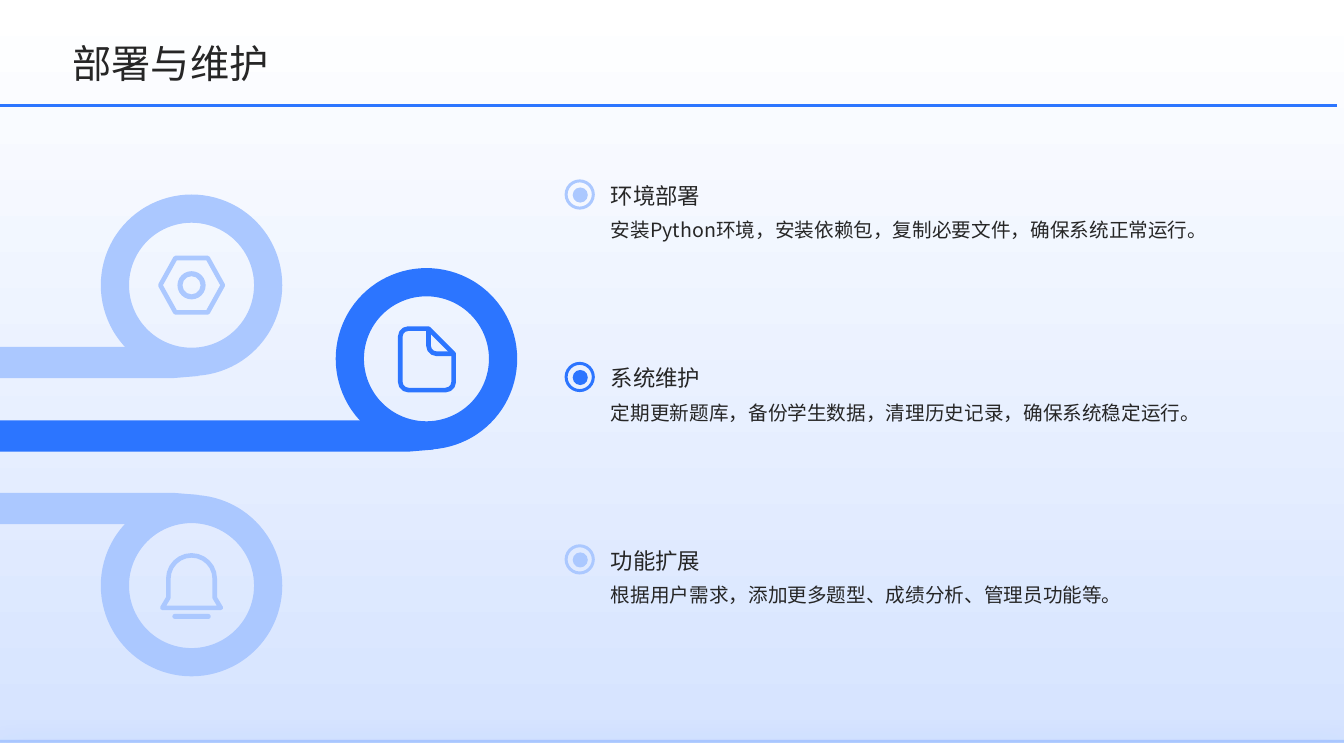
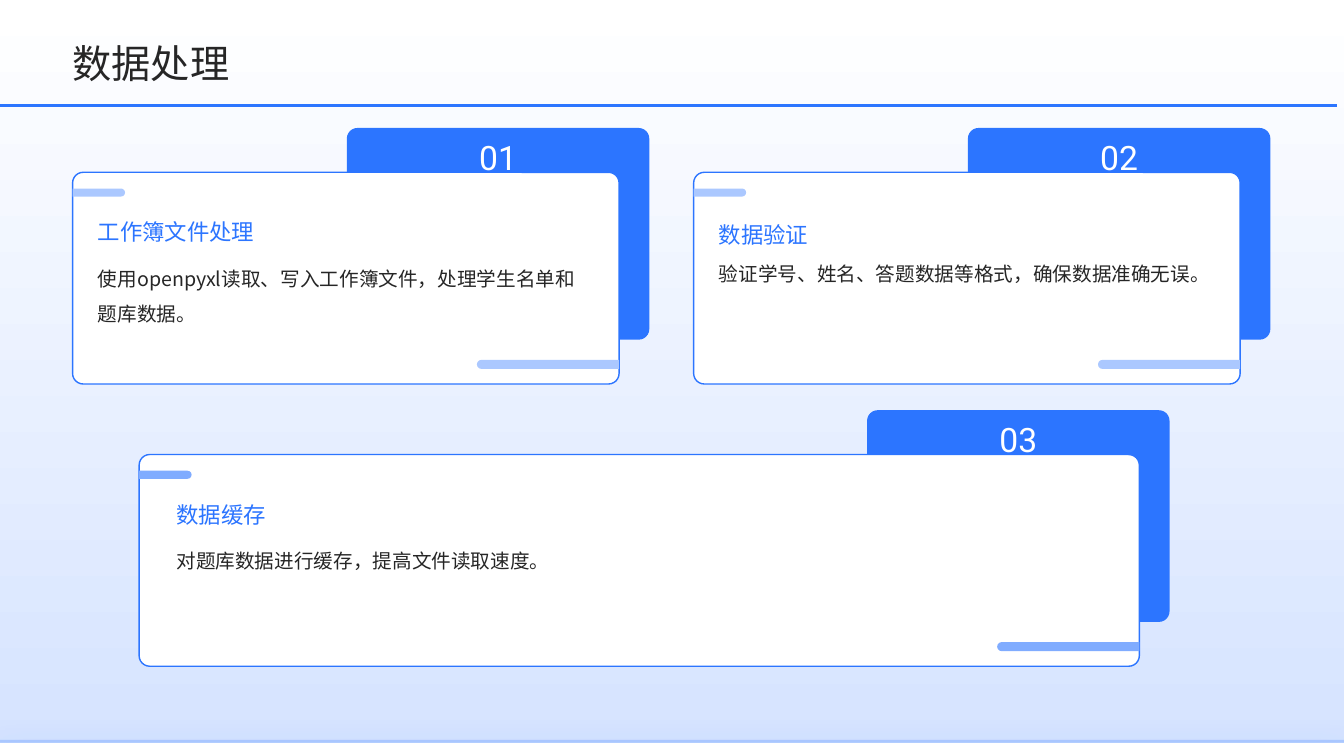
"""Build the deployment and data-processing slides."""
from dataclasses import dataclass
from math import cos, radians, sin

from lxml.etree import SubElement
from pptx import Presentation
from pptx.dml.color import RGBColor
from pptx.enum.shapes import MSO_CONNECTOR, MSO_SHAPE
from pptx.enum.text import MSO_ANCHOR, MSO_AUTO_SIZE, PP_ALIGN
from pptx.oxml.ns import qn
from pptx.util import Inches, Pt

BLUE = RGBColor(0x2C, 0x75, 0xFF)
MEDIUM_BLUE = RGBColor(0x80, 0xAC, 0xFF)
LIGHT_BLUE = RGBColor(0xAB, 0xC8, 0xFF)
PALE_BLUE = RGBColor(0xD5, 0xE3, 0xFF)
WHITE = RGBColor(0xFF, 0xFF, 0xFF)
INK = RGBColor(0x26, 0x26, 0x26)
CJK_FONT = "Noto Sans CJK SC"
NUMBER_FONT = "Roboto"
SLIDE_WIDTH, SLIDE_HEIGHT = 13.33, 7.5
RING_RADIUS = 0.9
ICON_STROKE = 3.3

Points = list[tuple[float, float]]


@dataclass(frozen=True)
class TextStyle:
    size: float
    color: RGBColor = INK
    spacing: float = 1.3
    font: str = CJK_FONT
    anchor: MSO_ANCHOR = MSO_ANCHOR.MIDDLE
    align: PP_ALIGN = PP_ALIGN.LEFT


@dataclass(frozen=True)
class Topic:
    heading: str
    body: str
    color: RGBColor


@dataclass(frozen=True)
class Ribbon:
    x: float
    y: float
    side: int
    color: RGBColor


@dataclass(frozen=True)
class Card:
    number: str
    heading: str
    body: str
    left: float
    top: float
    width: float
    inset: float = 0.25
    heading_spacing: float = 1.3
    body_spacing: float = 1.5
    accent: RGBColor = LIGHT_BLUE


TITLE_STYLE = TextStyle(28, spacing=1.1)
TOPIC_HEADING_STYLE = TextStyle(16, anchor=MSO_ANCHOR.BOTTOM)
TOPIC_BODY_STYLE = TextStyle(14, spacing=1.5, anchor=MSO_ANCHOR.TOP)
NUMBER_STYLE = TextStyle(24, WHITE, font=NUMBER_FONT, align=PP_ALIGN.CENTER)

TOPICS = [
    Topic("环境部署", "安装Python环境，安装依赖包，复制必要文件，确保系统正常运行。", LIGHT_BLUE),
    Topic("系统维护", "定期更新题库，备份学生数据，清理历史记录，确保系统稳定运行。", BLUE),
    Topic("功能扩展", "根据用户需求，添加更多题型、成绩分析、管理员功能等。", LIGHT_BLUE),
]
RIBBONS = [
    Ribbon(1.9, 5.81, -1, LIGHT_BLUE),
    Ribbon(1.9, 2.83, 1, LIGHT_BLUE),
    Ribbon(4.23, 3.56, 1, BLUE),
]
CARDS = [
    Card("01", "工作簿文件处理", "使用openpyxl读取、写入工作簿文件，处理学生名单和题库数据。",
         0.72, 1.71, 5.42),
    Card("02", "数据验证", "验证学号、姓名、答题数据等格式，确保数据准确无误。",
         6.88, 1.71, 5.42, heading_spacing=1.5, body_spacing=1.3),
    Card("03", "数据缓存", "对题库数据进行缓存，提高文件读取速度。",
         1.38, 4.51, 9.92, inset=0.37, accent=MEDIUM_BLUE),
]


def write_text(shape, text: str, style: TextStyle) -> None:
    """Fill a shape's text frame with one styled run."""
    frame = shape.text_frame
    frame.word_wrap = True
    frame.auto_size = MSO_AUTO_SIZE.NONE
    frame.vertical_anchor = style.anchor
    frame.margin_left = frame.margin_right = Inches(0)
    frame.margin_top = frame.margin_bottom = Inches(0)
    paragraph = frame.paragraphs[0]
    paragraph.alignment = style.align
    paragraph.line_spacing = style.spacing
    run = paragraph.add_run()
    run.text = text
    run.font.size = Pt(style.size)
    run.font.color.rgb = style.color
    run.font.name = style.font
    SubElement(run._r.get_or_add_rPr(), qn("a:ea"), typeface=style.font)


def add_text(slide, text: str, left: float, top: float, width: float,
             height: float, style: TextStyle) -> None:
    """Add a text box."""
    box = slide.shapes.add_textbox(
        Inches(left), Inches(top), Inches(width), Inches(height))
    write_text(box, text, style)


def add_block(slide, kind: MSO_SHAPE, left: float, top: float, width: float,
              height: float, color: RGBColor, adjustments: tuple = ()):
    """Add a filled preset shape without a line or shadow."""
    shape = slide.shapes.add_shape(
        kind, Inches(left), Inches(top), Inches(width), Inches(height))
    shape.shadow.inherit = False
    shape.fill.solid()
    shape.fill.fore_color.rgb = color
    shape.line.fill.background()
    for index, value in enumerate(adjustments):
        shape.adjustments[index] = value
    return shape


def add_ring(slide, x: float, y: float, radius: float, thickness: float,
             color: RGBColor) -> None:
    """Add a ring around a centre point."""
    size = 2 * radius
    add_block(slide, MSO_SHAPE.DONUT, x - radius, y - radius, size, size, color,
              (thickness / size,))


def arc(x: float, y: float, radius: float, start: int, end: int,
        steps: int = 3) -> Points:
    """Return points on an arc, with angles clockwise from the right."""
    angles = [radians(start + (end - start) * step / steps)
              for step in range(steps + 1)]
    return [(x + radius * cos(angle), y + radius * sin(angle)) for angle in angles]


def add_outline(slide, points: Points, closed: bool = True):
    """Add a freeform through the given points."""
    scaled = [(Inches(x), Inches(y)) for x, y in points]
    builder = slide.shapes.build_freeform(*scaled[0])
    builder.add_line_segments(scaled[1:], close=closed)
    shape = builder.convert_to_shape()
    shape.shadow.inherit = False
    return shape


def add_stroke(slide, points: Points, color: RGBColor, closed: bool = True) -> None:
    """Draw an icon stroke with round joins."""
    shape = add_outline(slide, points, closed)
    shape.fill.background()
    shape.line.color.rgb = color
    shape.line.width = Pt(ICON_STROKE)
    SubElement(shape.line._get_or_add_ln(), qn("a:round"))


def add_ribbon(slide, ribbon: Ribbon) -> None:
    """Draw a band from the left edge that runs into a ring."""
    edge = [(-ribbon.x, 0.61), (-0.66, 0.61), (0, 0.75), (0.07, 0.9),
            (-0.17, 0.92), (-ribbon.x, 0.92)]
    band = add_outline(
        slide, [(ribbon.x + x, ribbon.y + ribbon.side * y) for x, y in edge])
    band.fill.solid()
    band.fill.fore_color.rgb = ribbon.color
    band.line.fill.background()
    add_ring(slide, ribbon.x, ribbon.y, RING_RADIUS, 0.28, ribbon.color)


def add_nut_icon(slide) -> None:
    """Draw the hexagonal nut."""
    x, y = 1.9, 2.83
    hexagon = [(x + dx, y + dy) for dx, dy in (
        (-0.31, 0), (-0.16, -0.27), (0.16, -0.27),
        (0.31, 0), (0.16, 0.27), (-0.16, 0.27))]
    add_stroke(slide, hexagon, LIGHT_BLUE)
    add_ring(slide, x, y, 0.14, 0.05, LIGHT_BLUE)


def add_bell_icon(slide) -> None:
    """Draw the bell and its clapper."""
    bell = [*arc(1.9, 5.74, 0.23, 180, 360, 12),
            (2.13, 5.93), (2.19, 6.03), (1.61, 6.03), (1.67, 5.93)]
    add_stroke(slide, bell, LIGHT_BLUE)
    add_block(slide, MSO_SHAPE.ROUNDED_RECTANGLE, 1.71, 6.09, 0.38, 0.05,
              LIGHT_BLUE, (0.5,))


def add_file_icon(slide) -> None:
    """Draw the page with its folded corner."""
    page = [(4.25, 3.26), (4.5, 3.51), *arc(4.42, 3.79, 0.08, 0, 90),
            *arc(4.05, 3.79, 0.08, 90, 180), *arc(4.05, 3.34, 0.08, 180, 270)]
    fold = [(4.25, 3.26), *arc(4.33, 3.43, 0.08, 180, 90), (4.5, 3.51)]
    add_stroke(slide, page, BLUE)
    add_stroke(slide, fold, BLUE, closed=False)


def add_footer_band(slide, top: float, height: float, color: RGBColor) -> None:
    """Add a full-width band with a soft blue shadow."""
    band = add_block(slide, MSO_SHAPE.RECTANGLE, 0, top, SLIDE_WIDTH, height, color)
    effects = band.element.spPr.find(qn("a:effectLst"))
    shadow = SubElement(effects, qn("a:outerShdw"), blurRad=str(Pt(25)),
                        dist=str(Pt(10)), dir="5400000")
    tint = SubElement(shadow, qn("a:srgbClr"), val=str(BLUE))
    SubElement(tint, qn("a:alpha"), val="10000")


def add_slide(presentation, title: str):
    """Add a slide with the shared title, rule and footer."""
    slide = presentation.slides.add_slide(presentation.slide_layouts[5])
    add_footer_band(slide, 7.34, 0.08, LIGHT_BLUE)
    add_footer_band(slide, 7.37, 0.13, WHITE)
    placeholder = slide.shapes.title
    placeholder.left, placeholder.top = Inches(0.72), Inches(0.35)
    placeholder.width, placeholder.height = Inches(11.67), Inches(0.51)
    write_text(placeholder, title, TITLE_STYLE)
    rule = slide.shapes.add_connector(
        MSO_CONNECTOR.STRAIGHT, Inches(0), Inches(1.05), Inches(13.26), Inches(1.05))
    rule.line.color.rgb = BLUE
    rule.line.width = Pt(2.25)
    SubElement(rule.element.spPr, qn("a:effectLst"))
    return slide


def add_topic(slide, topic: Topic, top: float) -> None:
    """Add a marked heading with its explanation."""
    add_text(slide, topic.heading, 6.06, top, 6.54, 0.72, TOPIC_HEADING_STYLE)
    add_text(slide, topic.body, 6.06, top + 0.7, 6.54, 1.14, TOPIC_BODY_STYLE)
    add_block(slide, MSO_SHAPE.OVAL, 5.68, top + 0.51, 0.15, 0.15, topic.color)
    add_ring(slide, 5.75, top + 0.58, 0.15, 0.03, topic.color)


def add_stripe(slide, left: float, top: float, length: float, thickness: float,
               rotation: int, color: RGBColor) -> None:
    """Add a horizontal stripe rounded at one end."""
    shift = (length - thickness) / 2
    stripe = add_block(slide, MSO_SHAPE.ROUND_2_SAME_RECTANGLE, left + shift,
                       top - shift, thickness, length, color, (0.5, 0))
    stripe.rotation = rotation


def add_card(slide, card: Card) -> None:
    """Add a numbered card with a tab behind it."""
    right = card.left + card.width
    tab_left, tab_top = right - 2.7, card.top - 0.44
    text_left = card.left + card.inset
    text_width = right - 0.25 - text_left
    add_block(slide, MSO_SHAPE.ROUNDED_RECTANGLE, tab_left, tab_top, 3, 2.1,
              BLUE, (0.05,))
    panel = add_block(slide, MSO_SHAPE.ROUNDED_RECTANGLE, card.left, card.top,
                      card.width, 2.1, WHITE, (0.05,))
    panel.line.color.rgb = BLUE
    panel.line.width = Pt(1)
    add_text(slide, card.number, tab_left + 1.03, tab_top + 0.05, 0.94, 0.36,
             NUMBER_STYLE)
    add_stripe(slide, card.left, card.top + 0.16, 0.52, 0.08, 90, card.accent)
    add_stripe(slide, right - 1.41, card.top + 1.86, 1.41, 0.09, 270, card.accent)
    add_text(slide, card.heading, text_left, card.top + 0.28, text_width, 0.54,
             TextStyle(16, BLUE, card.heading_spacing))
    add_text(slide, card.body, text_left, card.top + 0.82, text_width, 0.97,
             TextStyle(14, spacing=card.body_spacing, anchor=MSO_ANCHOR.TOP))


def main() -> None:
    """Build and save the presentation."""
    presentation = Presentation()
    presentation.slide_width = Inches(SLIDE_WIDTH)
    presentation.slide_height = Inches(SLIDE_HEIGHT)
    backdrop = presentation.slide_master.background.fill
    backdrop.gradient()
    backdrop.gradient_angle = 90
    for stop, color in zip(backdrop.gradient_stops, (PALE_BLUE, WHITE)):
        stop.color.rgb = color

    deployment = add_slide(presentation, "部署与维护")
    for index, topic in enumerate(TOPICS):
        add_topic(deployment, topic, 1.35 + 1.81 * index)
    for ribbon in RIBBONS:
        add_ribbon(deployment, ribbon)
    add_nut_icon(deployment)
    add_bell_icon(deployment)
    add_file_icon(deployment)

    processing = add_slide(presentation, "数据处理")
    for card in CARDS:
        add_card(processing, card)
    presentation.save("out.pptx")


if __name__ == "__main__":
    main()
